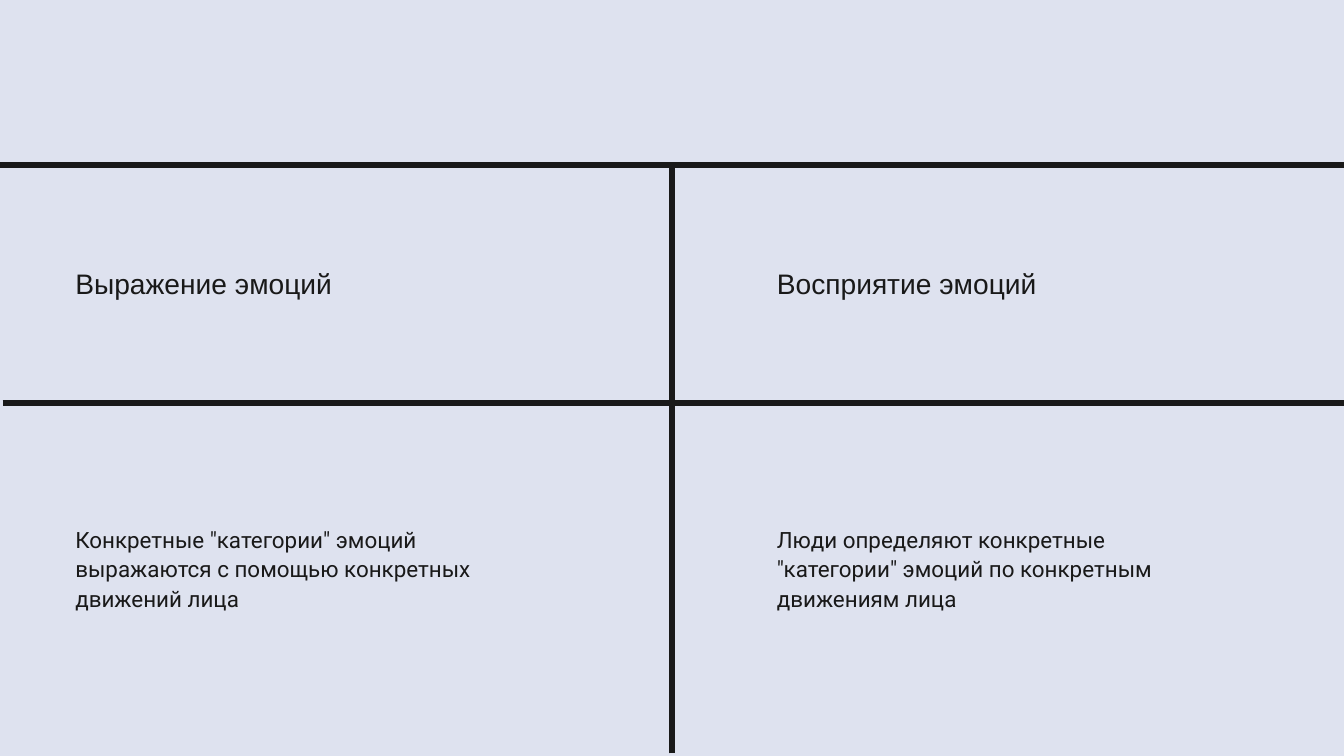
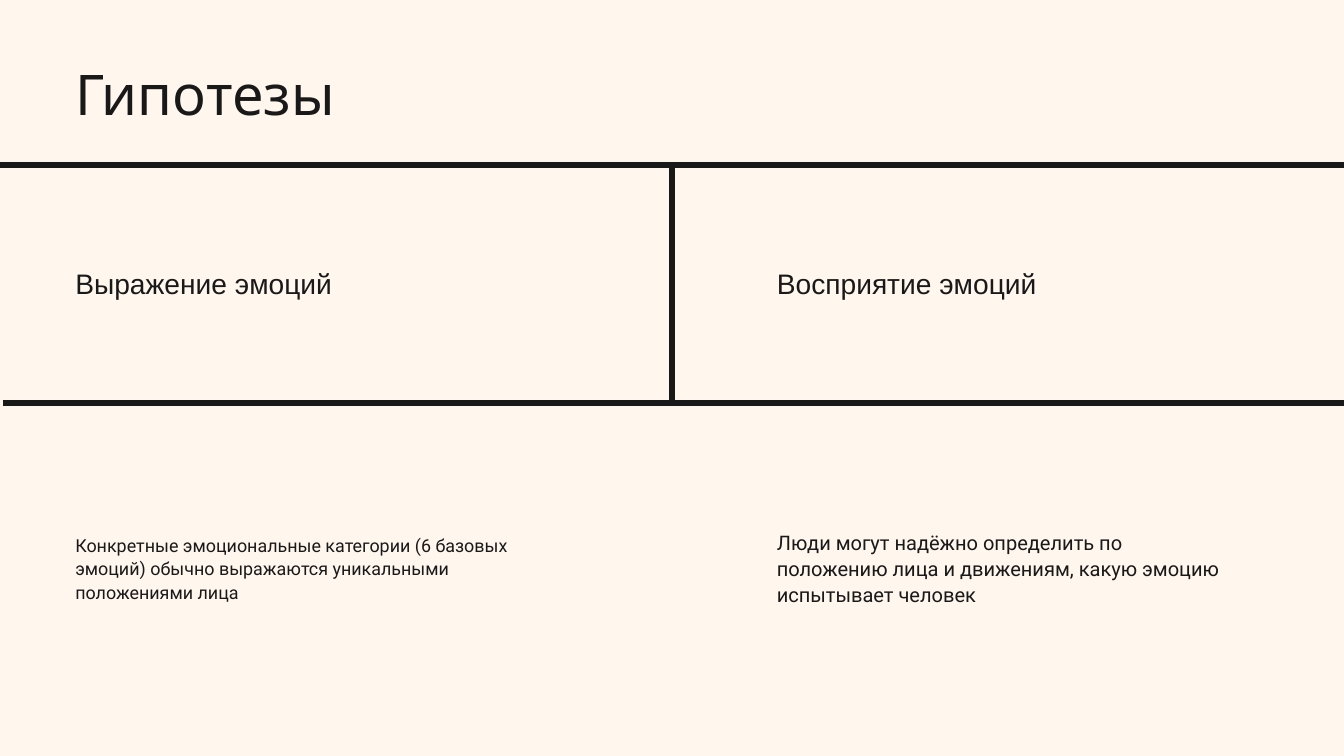
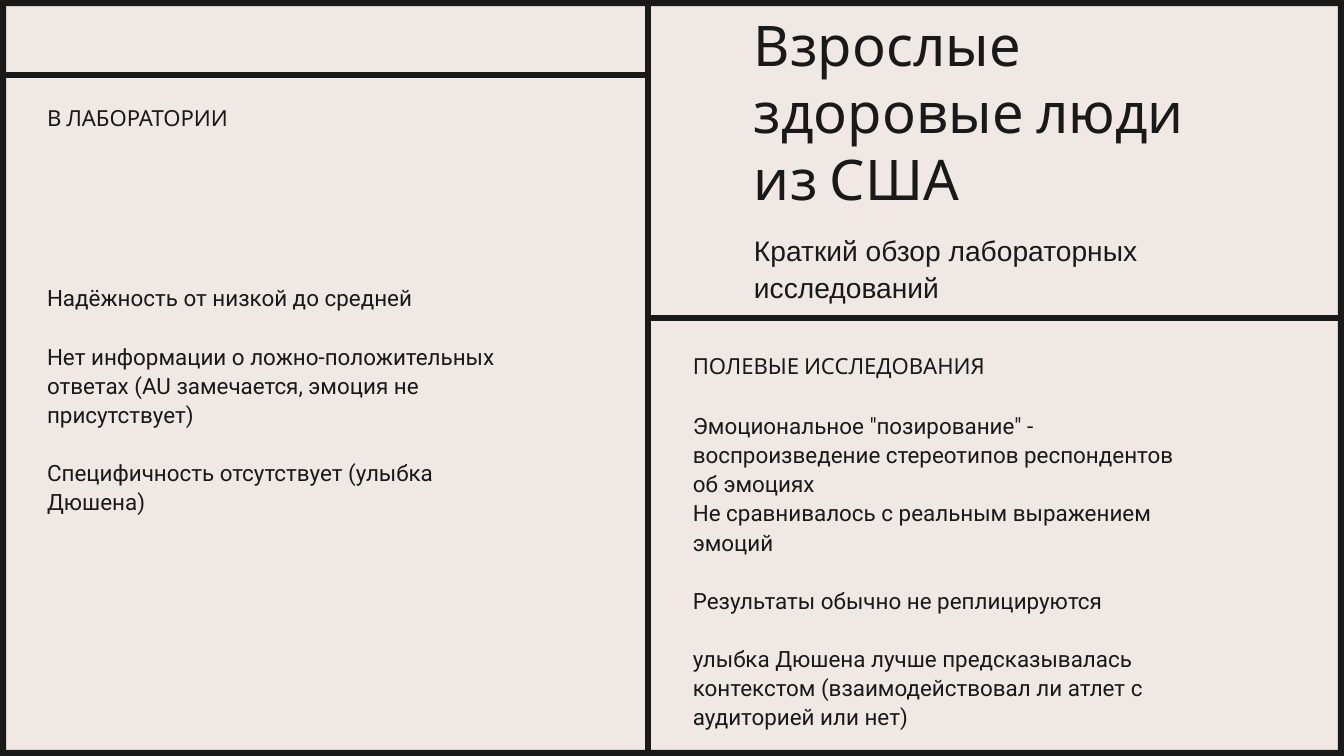
from lxml import etree
from pptx import Presentation
from pptx.dml.color import RGBColor
from pptx.enum import shapes, text
from pptx.oxml import ns
from pptx.util import Inches, Pt

WIDTH, HEIGHT = 20, 11.25
COLORS = {"ink": "191919", "blue": "DEE2EF", "cream": "FFF7EE", "rose": "EFE8E4"}
# font, size, line spacing
STYLES = {
    "title": ("Cabin", 60, 72),
    "heading": ("Arial", 30.2, 39.3),
    "label": ("Cabin", 23.7, 33.2),
    "body": ("Roboto", 24, 31.2),
    "body_medium": ("Roboto", 21.5, 27.9),
    "body_small": ("Roboto", 19.2, 25),
}
TITLE_ONLY, BLANK = 5, 6
COLUMNS = (1.12, 11.56)
COLUMN_WIDTH = 6.59
TOP_RULE, MIDDLE_RULE = 2.46, 6


def color(name):
    return RGBColor.from_string(COLORS[name])


class Deck:
    def __init__(self):
        self.prs = Presentation()
        self.prs.slide_width = Inches(WIDTH)
        self.prs.slide_height = Inches(HEIGHT)
        self.s = None

    def slide(self, background, layout=TITLE_ONLY):
        self.s = self.prs.slides.add_slide(self.prs.slide_layouts[layout])
        fill = self.s.background.fill
        fill.solid()
        fill.fore_color.rgb = color(background)

    def fill_text(self, sp, style, blocks):
        """Fill a shape with blocks of paragraphs, one line of space between blocks."""
        font, size, spacing = STYLES[style]
        tf = sp.text_frame
        tf.word_wrap = True
        tf.auto_size = text.MSO_AUTO_SIZE.NONE
        tf.vertical_anchor = text.MSO_ANCHOR.TOP
        tf.margin_left = tf.margin_right = tf.margin_top = tf.margin_bottom = 0
        tf.text = "\n".join(line for block in blocks for line in block)
        starts = [i == 0 for block in blocks for i in range(len(block))]
        for i, (p, starts_block) in enumerate(zip(tf.paragraphs, starts)):
            p.alignment = text.PP_ALIGN.LEFT
            p.line_spacing = Pt(spacing)
            p.space_before = Pt(spacing if i and starts_block else 0)
            for r in p.runs:
                r.font.name = font
                r.font.size = Pt(size)
                r.font.color.rgb = color("ink")

    def title(self, words, left, top, width, height):
        sp = self.s.shapes.title
        sp.left, sp.top, sp.width, sp.height = map(Inches, (left, top, width, height))
        self.fill_text(sp, "title", [[words]])

    def text(self, style, left, top, width, height, *blocks):
        sp = self.s.shapes.add_textbox(*map(Inches, (left, top, width, height)))
        self.fill_text(sp, style, blocks)

    def rule(self, x1, y1, x2, y2):
        line = self.s.shapes.add_connector(
            shapes.MSO_CONNECTOR.STRAIGHT, *map(Inches, (x1, y1, x2, y2)))
        line.line.color.rgb = color("ink")
        line.line.width = Pt(6)
        etree.SubElement(line._element.spPr, ns.qn("a:effectLst"))

    def frame(self, thickness):
        sp = self.s.shapes.add_shape(
            shapes.MSO_SHAPE.FRAME, 0, 0, Inches(WIDTH), Inches(HEIGHT))
        sp.adjustments[0] = thickness / HEIGHT
        sp.shadow.inherit = False
        sp.fill.solid()
        sp.fill.fore_color.rgb = color("ink")
        sp.line.fill.background()

    def comparison(self, divider_end, bodies):
        """Two headed columns; each body is (style, top, height, words)."""
        headings = ("Выражение эмоций", "Восприятие эмоций")
        for left, heading, (style, top, height, words) in zip(COLUMNS, headings, bodies):
            self.text("heading", left, 3.92, COLUMN_WIDTH, 0.6, [heading])
            self.text(style, left, top, COLUMN_WIDTH, height, [words])
        self.rule(0, TOP_RULE, WIDTH, TOP_RULE)
        self.rule(WIDTH / 2, divider_end, WIDTH / 2, TOP_RULE)
        self.rule(0.04, MIDDLE_RULE, WIDTH + 0.04, MIDDLE_RULE)


def main():
    deck = Deck()

    deck.slide("blue", BLANK)
    deck.comparison(11.21, (
        ("body", 7.8, 1.28,
         'Конкретные "категории" эмоций выражаются с помощью конкретных движений лица'),
        ("body", 7.8, 1.28,
         'Люди определяют конкретные "категории" эмоций по конкретным движениям лица'),
    ))

    deck.slide("cream")
    deck.title("Гипотезы", COLUMNS[0], 0.88, 9.84, 1.01)
    deck.comparison(6.04, (
        ("body_small", 7.93, 1.03,
         "Конкретные эмоциональные категории (6 базовых эмоций) обычно выражаются "
         "уникальными положениями лица"),
        ("body_medium", 7.87, 1.15,
         "Люди могут надёжно определить по положению лица и движениям, какую эмоцию "
         "испытывает человек"),
    ))

    deck.slide("rose")
    lab, field, header, width = 0.7, 10.31, 11.22, 7.19
    deck.frame(0.09)
    deck.rule(0, 1.12, 9.68, 1.12)
    deck.title("Взрослые здоровые люди из США", header, 0.15, width, 3.01)
    deck.text("heading", header, 3.43, width, 1.12,
              ["Краткий обзор лабораторных исследований"])
    deck.rule(9.6, 4.73, 19.96, 4.73)
    deck.rule(9.64, 11.21, 9.64, -0.04)
    deck.text("body", lab, 4.2, width, 3.84,
              ["Надёжность от низкой до средней"],
              ["Нет информации о ложно-положительных ответах "
               "(AU замечается, эмоция не присутствует)"],
              ["Специфичность отсутствует (улыбка Дюшена)"])
    deck.text("label", lab, 1.49, 8.35, 0.45, ["В ЛАБОРАТОРИИ"])
    deck.text("label", field, 5.18, 8.35, 0.45, ["ПОЛЕВЫЕ ИССЛЕДОВАНИЯ"])
    deck.text("body", field, 6.1, width, 4.7,
              ['Эмоциональное "позирование" - воспроизведение стереотипов '
               "респондентов об эмоциях",
               "Не сравнивалось с реальным выражением эмоций"],
              ["Результаты обычно не реплицируются"],
              ["улыбка Дюшена лучше предсказывалась контекстом "
               "(взаимодействовал ли атлет с аудиторией или нет)"])

    deck.prs.save("out.pptx")


if __name__ == "__main__":
    main()
